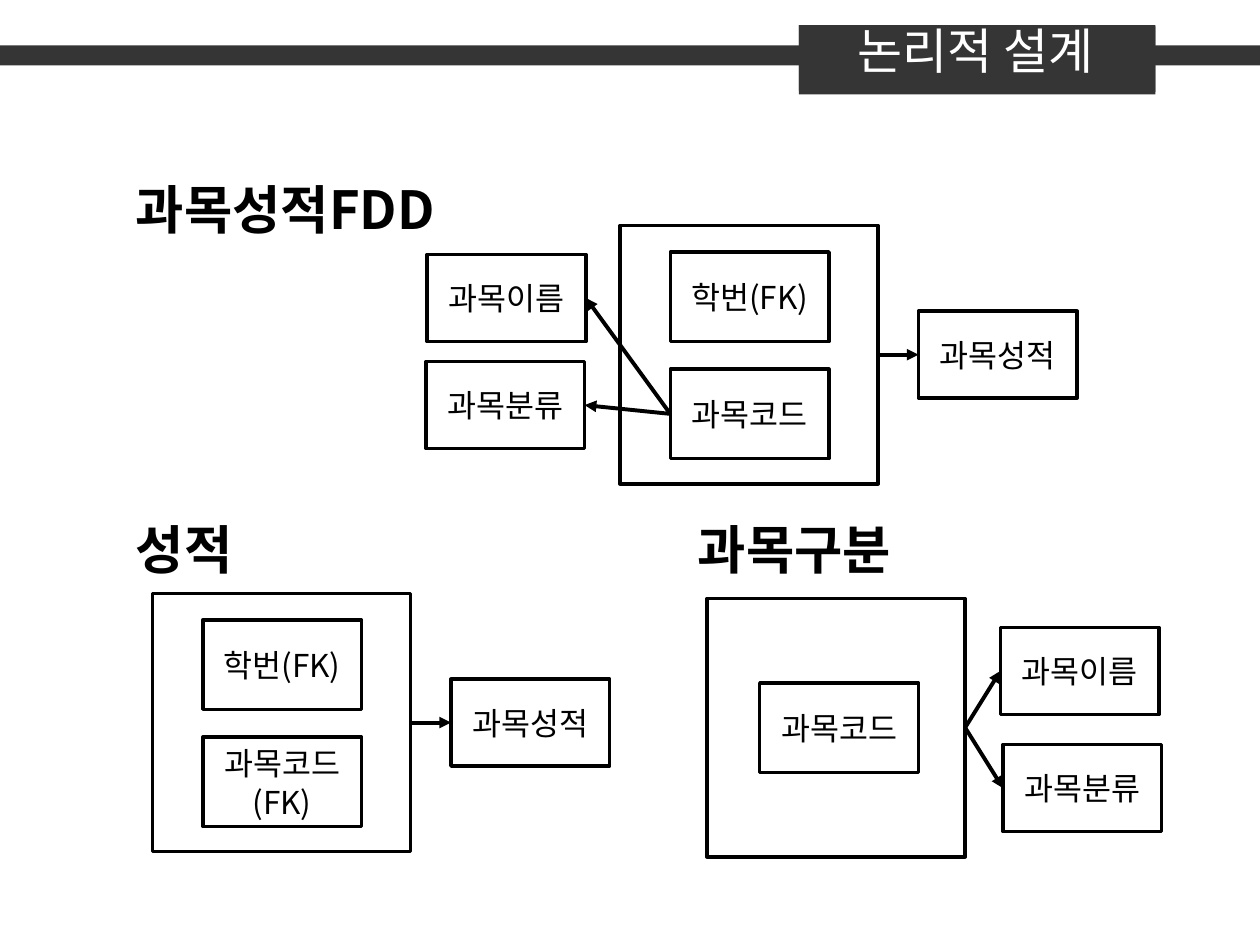
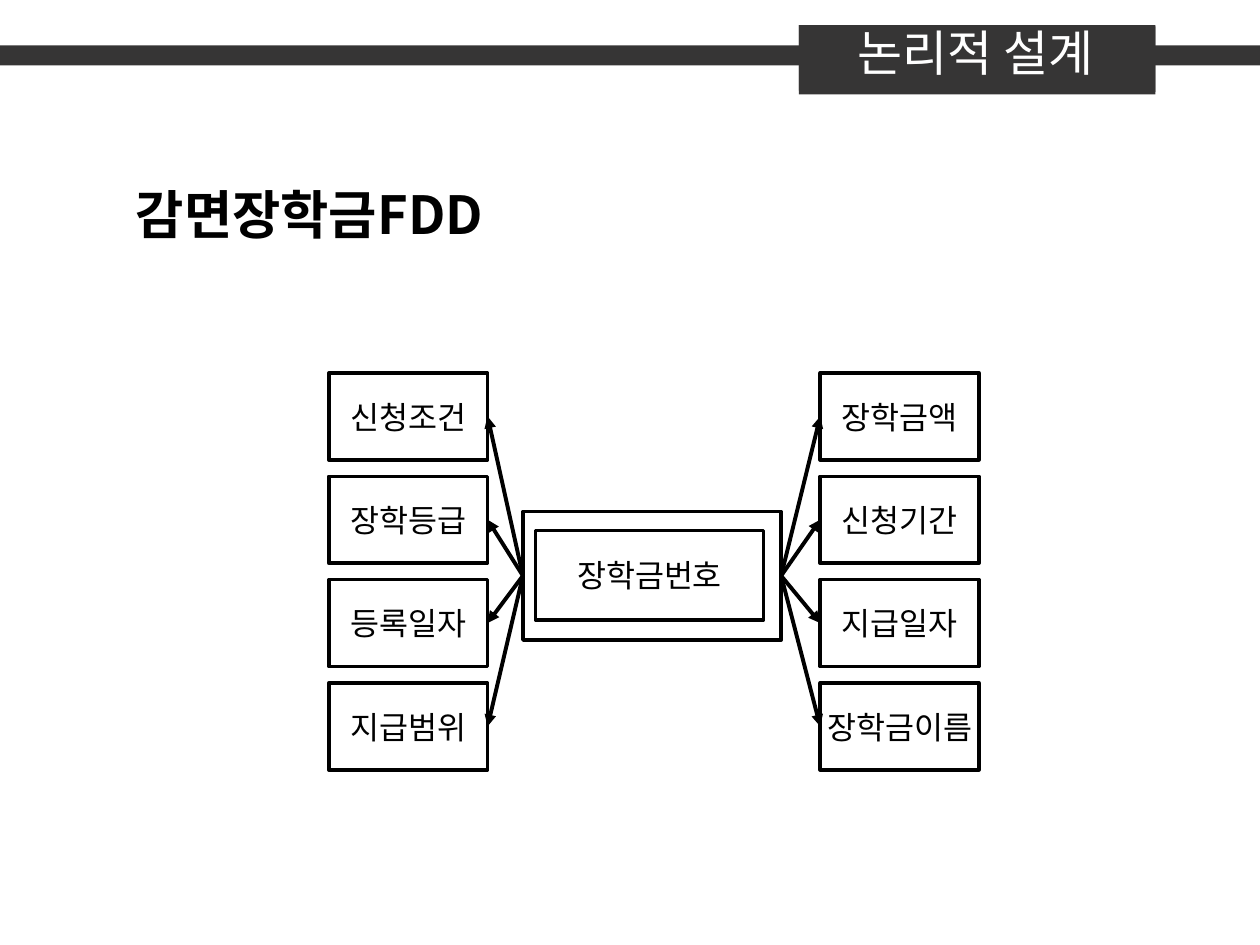
"""Build the two logical design slides with their functional dependency diagrams."""
from dataclasses import dataclass

from lxml.etree import SubElement
from pptx import Presentation
from pptx.dml.color import RGBColor
from pptx.enum.shapes import MSO_CONNECTOR, MSO_SHAPE
from pptx.enum.text import MSO_ANCHOR, PP_ALIGN
from pptx.oxml.ns import qn
from pptx.util import Inches, Pt

LEFT, RIGHT = 1, 3


@dataclass(frozen=True)
class Theme:
    font: str = "Noto Sans CJK KR"
    ink: RGBColor = RGBColor(0x00, 0x00, 0x00)
    paper: RGBColor = RGBColor(0xFF, 0xFF, 0xFF)
    band: RGBColor = RGBColor(0x36, 0x35, 0x35)
    title_size: int = 28
    heading_size: int = 30
    label_size: int = 18
    label_spacing: int = 22
    outline: float = 2
    arrow: float = 2.25


class DiagramDeck:
    def __init__(self, theme):
        self.theme = theme
        self.presentation = Presentation()
        self.presentation.slide_width = Inches(10)
        self.presentation.slide_height = Inches(7.5)
        self.slide = None

    def add_slide(self, title, title_top):
        self.slide = self.presentation.slides.add_slide(self.presentation.slide_layouts[6])
        for bounds in (
            (0, 0.36, 10, 0.16),
            (6.34, 0.2, 2.83, 0.55),
            (6.34, 0.2, 0.08, 0.52),
            (9.09, 0.21, 0.08, 0.52),
        ):
            self.rectangle(bounds, self.theme.band)
        self.text_box(title, (6.34, title_top, 2.8, 0.57), self.theme.title_size,
                      self.theme.paper, PP_ALIGN.CENTER)

    def rectangle(self, bounds, fill):
        shape = self.slide.shapes.add_shape(MSO_SHAPE.RECTANGLE, *map(Inches, bounds))
        shape.shadow.inherit = False
        shape.fill.solid()
        shape.fill.fore_color.rgb = fill
        shape.line.fill.background()
        return shape

    def set_text(self, text_frame, text, size, color, alignment, bold=False):
        text_frame.text = text
        text_frame.vertical_anchor = MSO_ANCHOR.MIDDLE
        for paragraph in text_frame.paragraphs:
            paragraph.alignment = alignment
            for run in paragraph.runs:
                run.font.size = Pt(size)
                run.font.bold = bold
                run.font.color.rgb = color
                run.font.name = self.theme.font
                SubElement(run._r.get_or_add_rPr(), qn("a:ea"), typeface=self.theme.font)

    def text_box(self, text, bounds, size, color, alignment, bold=False):
        text_frame = self.slide.shapes.add_textbox(*map(Inches, bounds)).text_frame
        text_frame.word_wrap = True
        text_frame.margin_top = text_frame.margin_bottom = 0
        self.set_text(text_frame, text, size, color, alignment, bold)

    def heading(self, text, left, top, width):
        self.text_box(text, (left, top, width, 0.61), self.theme.heading_size,
                      self.theme.ink, PP_ALIGN.LEFT, bold=True)

    def frame(self, left, top, width=2.05, height=2.05):
        shape = self.rectangle((left, top, width, height), self.theme.paper)
        shape.line.color.rgb = self.theme.ink
        shape.line.width = Pt(self.theme.outline)
        return shape

    def attribute(self, text, left, top, width=1.26, height=0.69):
        shape = self.frame(left, top, width, height)
        text_frame = shape.text_frame
        text_frame.word_wrap = False
        self.set_text(text_frame, text, self.theme.label_size, self.theme.ink, PP_ALIGN.CENTER)
        if len(text_frame.paragraphs) > 1:
            for paragraph in text_frame.paragraphs:
                paragraph.line_spacing = Pt(self.theme.label_spacing)
        return shape

    def key(self, text, left, top, width=1.26):
        return self.attribute(text, left, top, width, height=0.71)

    def arrows(self, source, source_side, targets):
        for target in targets:
            connector = self.slide.shapes.add_connector(MSO_CONNECTOR.STRAIGHT, 0, 0, 0, 0)
            connector.begin_connect(source, source_side)
            connector.end_connect(target, LEFT if source_side == RIGHT else RIGHT)
            connector.line.color.rgb = self.theme.ink
            connector.line.width = Pt(self.theme.arrow)
            properties = connector._element.spPr
            SubElement(properties.find(qn("a:ln")), qn("a:tailEnd"), type="triangle")
            SubElement(properties, qn("a:effectLst"))

    def grade_diagram(self, left, top, course_key):
        frame = self.frame(left, top)
        self.key("학번(FK)", left + 0.4, top + 0.21)
        course = self.key(course_key, left + 0.4, top + 1.14)
        grade = self.attribute("과목성적", left + 2.37, top + 0.68)
        self.arrows(frame, RIGHT, [grade])
        return course


def add_course_slide(deck):
    deck.add_slide("논리적 설계", 0.11)
    deck.heading("과목성적FDD", 0.98, 1.35, 2.77)
    course = deck.grade_diagram(4.92, 1.79, "과목코드")
    details = [deck.attribute("과목이름", 3.39, 2.02), deck.attribute("과목분류", 3.38, 2.87)]
    deck.arrows(course, LEFT, details)

    deck.heading("성적", 0.98, 4.05, 1.72)
    deck.grade_diagram(1.21, 4.71, "과목코드\n(FK)")

    deck.heading("과목구분", 5.44, 4.05, 2.39)
    frame = deck.frame(5.61, 4.75)
    deck.key("과목코드", 6.03, 5.42)
    details = [deck.attribute("과목이름", 7.94, 4.98), deck.attribute("과목분류", 7.96, 5.91)]
    deck.arrows(frame, RIGHT, details)


def add_scholarship_slide(deck):
    deck.add_slide("논리적 설계", 0.13)
    deck.heading("감면장학금FDD", 0.98, 1.39, 3.39)
    frame = deck.frame(4.15, 4.06, height=1.02)
    deck.key("장학금번호", 4.25, 4.21, width=1.81)
    columns = (
        (LEFT, 2.61, ("신청조건", "장학등급", "등록일자", "지급범위")),
        (RIGHT, 6.51, ("장학금액", "신청기간", "지급일자", "장학금이름")),
    )
    first_top, pitch = 2.96, 0.82
    for side, left, names in columns:
        attributes = [deck.attribute(name, left, first_top + row * pitch)
                      for row, name in enumerate(names)]
        deck.arrows(frame, side, attributes)


def main():
    deck = DiagramDeck(Theme())
    add_course_slide(deck)
    add_scholarship_slide(deck)
    deck.presentation.save("out.pptx")


if __name__ == "__main__":
    main()
